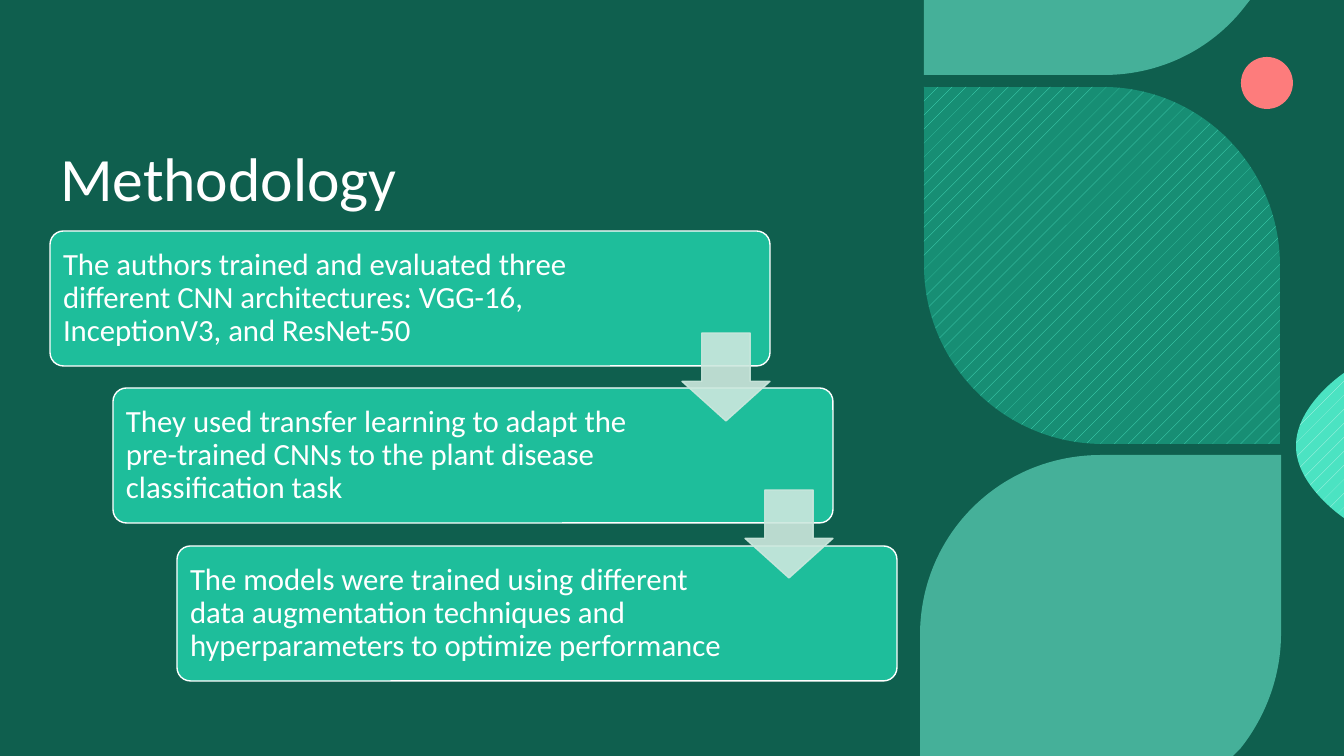
from lxml import etree
from pptx import Presentation
from pptx.dml.color import RGBColor
from pptx.enum.dml import MSO_PATTERN
from pptx.enum.shapes import MSO_SHAPE
from pptx.enum.text import MSO_ANCHOR
from pptx.oxml.ns import qn
from pptx.util import Pt

WIDTH, HEIGHT = 1344, 756
EMU_PER_PX = 12192000 / WIDTH

RECTANGLE = MSO_SHAPE.RECTANGLE
ROUNDED = MSO_SHAPE.ROUNDED_RECTANGLE
ELLIPSE = MSO_SHAPE.OVAL
DOWN_ARROW = MSO_SHAPE.DOWN_ARROW
DOTTED = MSO_PATTERN.PERCENT_5
MIDDLE, BOTTOM = MSO_ANCHOR.MIDDLE, MSO_ANCHOR.BOTTOM

DEEP_GREEN = RGBColor(0x09, 0x39, 0x2F)
VEIL_GREEN = RGBColor(0x18, 0x99, 0x7E)
LEAF_GREEN = RGBColor(0x69, 0xE7, 0xCC)
FOREST = RGBColor(0x17, 0x8E, 0x74)
MINT = RGBColor(0x4B, 0xE3, 0xC2)
PALE_MINT = RGBColor(0xC3, 0xF6, 0xEB)
CARD_GREEN = RGBColor(0x1E, 0xBE, 0x9B)
ARROW_GREEN = RGBColor(0xCD, 0xE8, 0xDE)
CORAL = RGBColor(0xFD, 0x7C, 0x7C)
WHITE = RGBColor(0xFF, 0xFF, 0xFF)

STEPS = [
    ("The authors trained and evaluated three different CNN architectures: "
     "VGG-16, InceptionV3, and ResNet-50", 575),
    ("They used transfer learning to adapt the pre-trained CNNs to the plant "
     "disease classification task", 560),
    ("The models were trained using different data augmentation techniques and "
     "hyperparameters to optimize performance", 560),
]

TOP_LEAF = [(924, 0), (1250, 0), (1243, 9), (1211, 49, 1161, 75, 1104, 75), (924, 75)]
BOTTOM_LEAF = [(1101, 455), (1281, 455), (1281, 634), (1281, 677, 1265, 718, 1240, 749),
               (1233, 756), (920, 756), (920, 635), (920, 535, 1000, 455, 1101, 455)]
EDGE_LEAF = [(1344, 373), (1344, 518), (1344, 518, 1296, 486, 1296, 446),
             (1296, 405, 1344, 373, 1344, 373)]
MIDDLE_LEAF = [(1280, 444), (1103, 444), (1004, 444, 924, 364, 924, 265), (924, 87),
               (1103, 87), (1201, 87, 1280, 167, 1280, 266)]


def px(length):
    return round(length * EMU_PER_PX)


class SlideBuilder:
    font = "Calibri"
    text_color = WHITE

    def __init__(self, slide):
        self.slide = slide
        self.shapes = slide.shapes

    def background(self, color):
        fill = self.slide.background.fill
        fill.solid()
        fill.fore_color.rgb = color

    def paint(self, shape, color, opacity=100, line=None):
        shape.shadow.inherit = False
        shape.fill.solid()
        shape.fill.fore_color.rgb = color
        if line is None:
            shape.line.fill.background()
        else:
            shape.line.color.rgb = line
            shape.line.width = Pt(1)
        if opacity < 100:
            for solid in shape.element.spPr.iter(qn("a:solidFill")):
                etree.SubElement(solid[0], qn("a:alpha"), val=str(opacity * 1000))

    def shape(self, kind, x, y, width, height, color, opacity=100, line=None, adjust=()):
        shape = self.shapes.add_shape(kind, px(x), px(y), px(width), px(height))
        for index, value in enumerate(adjust):
            shape.adjustments[index] = value
        self.paint(shape, color, opacity, line)

    def leaf(self, outline, color, opacity=100, pattern_color=None):
        start, *segments = outline
        builder = self.shapes.build_freeform(px(start[0]), px(start[1]))
        builder.add_line_segments([(px(s[-2]), px(s[-1])) for s in segments], close=True)
        leaf = builder.convert_to_shape()
        edges = list(leaf.element.spPr.iter(qn("a:lnTo")))
        for edge, segment in zip(edges, segments):
            if len(segment) == 6:
                self.bend(edge, segment, leaf.left, leaf.top)
        self.paint(leaf, color, opacity)
        if pattern_color is not None:
            leaf.fill.patterned()
            leaf.fill.pattern = DOTTED
            leaf.fill.fore_color.rgb = pattern_color
            leaf.fill.back_color.rgb = color

    def bend(self, edge, segment, left, top):
        curve = etree.Element(qn("a:cubicBezTo"))
        for x, y in zip(segment[::2], segment[1::2]):
            etree.SubElement(curve, qn("a:pt"), x=str(px(x) - left), y=str(px(y) - top))
        edge.getparent().replace(edge, curve)

    def text(self, words, x, y, width, height, size, anchor, inset_x, inset_y):
        frame = self.shapes.add_textbox(px(x), px(y), px(width), px(height)).text_frame
        frame.word_wrap = True
        frame.vertical_anchor = anchor
        frame.margin_left = frame.margin_right = px(inset_x)
        frame.margin_top = frame.margin_bottom = px(inset_y)
        paragraph = frame.paragraphs[0]
        paragraph.line_spacing = 0.9
        run = paragraph.add_run()
        run.text = words
        run.font.name = self.font
        run.font.size = Pt(size)
        run.font.color.rgb = self.text_color


def main():
    deck = Presentation()
    deck.slide_width, deck.slide_height = px(WIDTH), px(HEIGHT)
    page = SlideBuilder(deck.slides.add_slide(deck.slide_layouts[6]))

    page.background(DEEP_GREEN)
    page.shape(RECTANGLE, 0, 0, WIDTH, HEIGHT, VEIL_GREEN, opacity=40)
    page.shape(ELLIPSE, 1241, 57, 52, 52, CORAL)
    page.leaf(TOP_LEAF, LEAF_GREEN, opacity=60)
    page.leaf(BOTTOM_LEAF, LEAF_GREEN, opacity=60)
    page.leaf(EDGE_LEAF, MINT, pattern_color=PALE_MINT)
    page.leaf(MIDDLE_LEAF, FOREST, pattern_color=MINT)

    page.text("Methodology", 50, 74, 847, 146, 44, BOTTOM, 10, 5)
    offsets = [(index * 127 // 2, index * 315 // 2) for index in range(len(STEPS))]
    for (words, text_width), (right, down) in zip(STEPS, offsets):
        left, top = 50 + right, 231 + down
        page.shape(ROUNDED, left, top, 720, 135, CARD_GREEN, line=WHITE, adjust=(0.1,))
        page.text(words, left + 4, top + 4, text_width, 127, 22, MIDDLE, 9, 9)
    for right, down in offsets[:-1]:
        page.shape(DOWN_ARROW, 682 + right, 333 + down, 88, 88, ARROW_GREEN,
                   opacity=90, line=ARROW_GREEN, adjust=(0.55, 0.45))

    deck.save("out.pptx")


if __name__ == "__main__":
    main()
